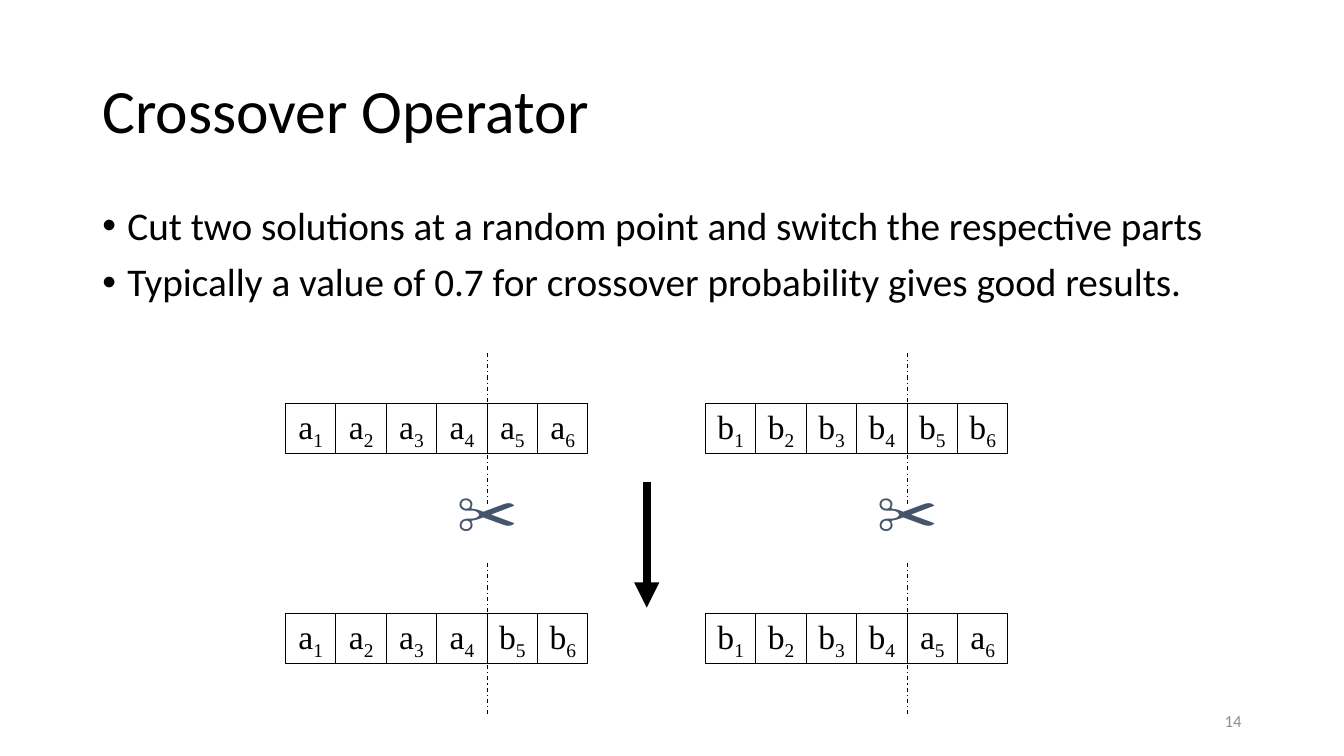
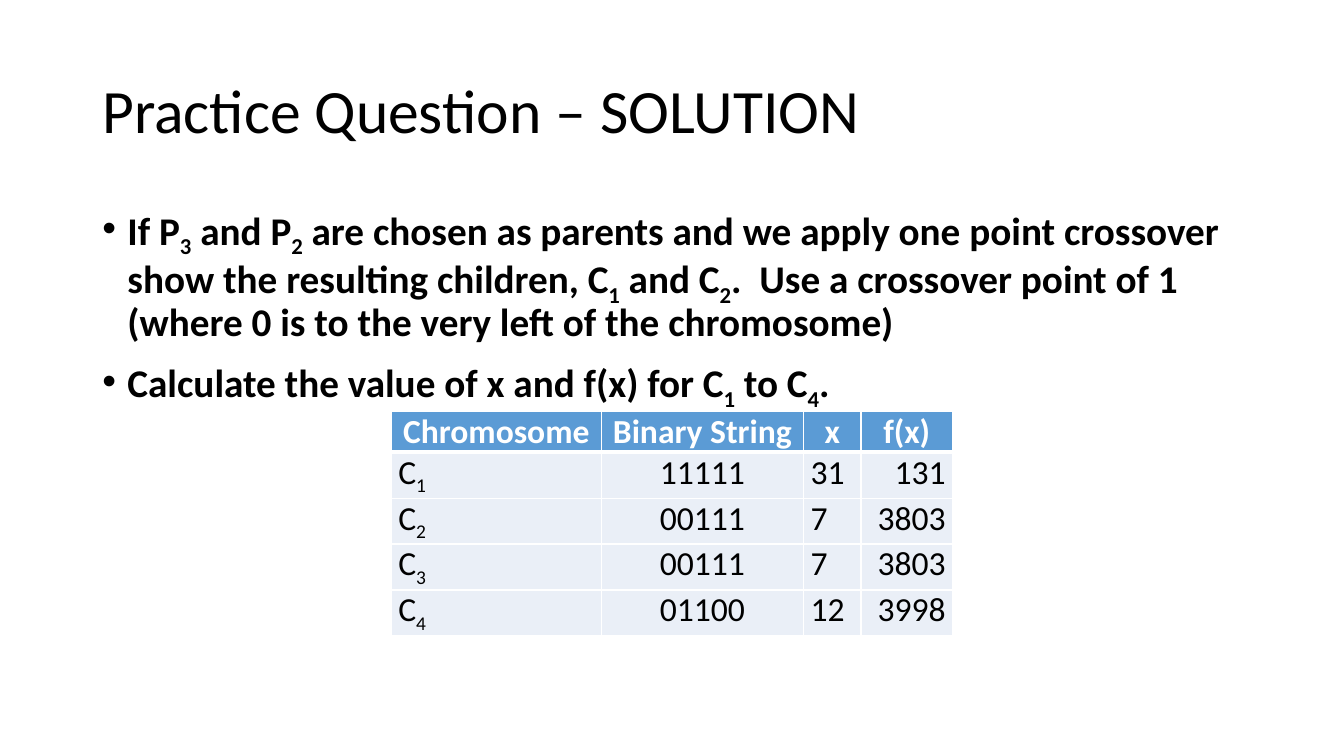
from dataclasses import dataclass

from lxml.etree import SubElement
from pptx import Presentation
from pptx.dml.color import RGBColor
from pptx.enum.dml import MSO_LINE as Dash
from pptx.enum.shapes import MSO_CONNECTOR as Connector, MSO_SHAPE as Shape
from pptx.enum.text import MSO_ANCHOR as Anchor, PP_ALIGN as Align
from pptx.oxml import parse_xml
from pptx.oxml.ns import nsdecls, qn
from pptx.util import Pt


@dataclass(frozen=True)
class Theme:
    ink: str = "000000"
    paper: str = "FFFFFF"
    muted: str = "8C8C8C"
    scissors: str = "44546A"
    header: str = "5B9BD5"
    row: str = "EAEFF7"
    sans: str = "Calibri"
    serif: str = "Times New Roman"
    title_size: int = 44
    body_size: int = 28
    grid_size: int = 24
    number_size: int = 12
    thin: float = 0.75
    thick: int = 6


THEME = Theme()

CROSSOVER = {
    "title": "Crossover Operator",
    "bullets": [
        "Cut two solutions at a random point and switch the respective parts",
        "Typically a value of 0.7 for crossover probability gives good results.",
    ],
    "number": "14",
}
SOLUTION = {
    "title": "Practice Question – SOLUTION",
    "bullets": [
        "If P_3 and P_2 are chosen as parents and we apply one point crossover "
        "show the resulting children, C_1 and C_2.  Use a crossover point of 1 "
        "(where 0 is to the very left of the chromosome)",
        "Calculate the value of x and f(x) for C_1 to C_4.",
    ],
}
CHROMOSOMES = [
    ("Chromosome", "Binary String", "x", "f(x)"),
    ("C_1", "11111", "31", "131"),
    ("C_2", "00111", "7", "3803"),
    ("C_3", "00111", "7", "3803"),
    ("C_4", "01100", "12", "3998"),
]
COLUMN_WIDTHS = (150, 144.5, 41, 65.5)
COLUMN_ALIGNS = (Align.LEFT, Align.CENTER, Align.LEFT, Align.RIGHT)
HEADER_HEIGHT, ROW_HEIGHT = 29, 32.4

GENE_COUNT, CUT, GENE = 6, 4, 36
PAIR_LEFTS = {"a": 204, "b": 504}
PARENT_TOP, CHILD_TOP = 288, 438


def color(value):
    return RGBColor.from_string(value)


def write(para, text, size, ink=THEME.ink, font=THEME.sans, bold=False):
    def add(piece, subscript=False):
        if not piece:
            return
        span = para.add_run()
        span.text = piece
        span.font.size, span.font.name, span.font.bold = Pt(size), font, bold
        span.font.color.rgb = color(ink)
        if subscript:
            span.font._element.set("baseline", "-25000")

    first, *rest = text.split("_")
    add(first)
    for part in rest:
        add(part[0], subscript=True)
        add(part[1:])


def add_box(page, left, top, width, height, anchor=Anchor.TOP, wrap=True):
    box = page.shapes.add_textbox(Pt(left), Pt(top), Pt(width), Pt(height))
    box.text_frame.word_wrap = wrap
    box.text_frame.vertical_anchor = anchor
    return box.text_frame


def add_bullets(page, bullets, bold):
    frame = add_box(page, 66, 144, 828, 342.5)
    for index, text in enumerate(bullets):
        para = frame.add_paragraph() if index else frame.paragraphs[0]
        para.line_spacing = 0.9
        if index:
            para.space_before = Pt(10)
        properties = para._p.get_or_add_pPr()
        properties.set("marL", str(Pt(18)))
        properties.set("indent", str(Pt(-18)))
        SubElement(properties, qn("a:buFont")).set("typeface", "Arial")
        SubElement(properties, qn("a:buChar")).set("char", "•")
        write(para, text, THEME.body_size, bold=bold)


def add_page(deck, content, bold=False):
    page = deck.slides.add_slide(deck.slide_layouts[6])
    title = add_box(page, 66, 28.75, 828, 104.4, Anchor.MIDDLE).paragraphs[0]
    title.line_spacing = 0.9
    write(title, content["title"], THEME.title_size)
    add_bullets(page, content["bullets"], bold)
    if "number" in content:
        number = add_box(page, 678, 500.5, 216, 28.75, Anchor.MIDDLE).paragraphs[0]
        number.alignment = Align.RIGHT
        write(number, content["number"], THEME.number_size, THEME.muted)
    return page


def add_line(page, x, top, bottom, width):
    line = page.shapes.add_connector(Connector.STRAIGHT, Pt(x), Pt(top), Pt(x), Pt(bottom))
    line.line.color.rgb = color(THEME.ink)
    line.line.width = Pt(width)
    SubElement(line._element.spPr, qn("a:effectLst"))
    return line


def add_gene(page, left, top, label):
    gene = page.shapes.add_shape(Shape.RECTANGLE, Pt(left), Pt(top), Pt(GENE), Pt(GENE))
    gene.shadow.inherit = False
    gene.fill.solid()
    gene.fill.fore_color.rgb = color(THEME.paper)
    gene.line.color.rgb = color(THEME.ink)
    gene.line.width = Pt(THEME.thin)
    gene.text_frame.word_wrap = False
    gene.text_frame.vertical_anchor = Anchor.MIDDLE
    para = gene.text_frame.paragraphs[0]
    para.alignment = Align.CENTER
    write(para, label, THEME.grid_size, font=THEME.serif)


def add_solution(page, left, top, head, tail):
    for index in range(GENE_COUNT):
        parent = head if index < CUT else tail
        add_gene(page, left + index * GENE, top, f"{parent}_{index + 1}")
    cut_line = add_line(page, left + CUT * GENE, top - GENE, top + 2 * GENE, THEME.thin)
    cut_line.line.dash_style = Dash.DASH_DOT


def add_crossover(page):
    for (head, left), other in zip(PAIR_LEFTS.items(), reversed(PAIR_LEFTS)):
        add_solution(page, left, PARENT_TOP, head, head)
        add_solution(page, left, CHILD_TOP, head, other)
        scissors = add_box(page, left + 115, 336, 65, 60, wrap=False).paragraphs[0]
        write(scissors, "✂", THEME.title_size, THEME.scissors, THEME.serif)
    arrow = add_line(page, 462, 344, 434, THEME.thick)
    SubElement(arrow.line._get_or_add_ln(), qn("a:tailEnd")).set("type", "triangle")


def set_borders(cell, bottom):
    properties = cell._tc.get_or_add_tcPr()
    for index, (side, width) in enumerate(zip("LRTB", (1, 1, 1, bottom))):
        border = parse_xml(
            f'<a:ln{side} {nsdecls("a")} w="{Pt(width)}"><a:solidFill>'
            f'<a:srgbClr val="{THEME.paper}"/></a:solidFill></a:ln{side}>'
        )
        properties.insert(index, border)


def add_chromosomes(page):
    heights = [HEADER_HEIGHT] + [ROW_HEIGHT] * (len(CHROMOSOMES) - 1)
    table = page.shapes.add_table(
        len(heights), len(COLUMN_WIDTHS), Pt(279.5), Pt(294),
        Pt(sum(COLUMN_WIDTHS)), Pt(sum(heights)),
    ).table
    table.horz_banding = False
    for column, width in zip(table.columns, COLUMN_WIDTHS):
        column.width = Pt(width)
    for row_index, values in enumerate(CHROMOSOMES):
        header = row_index == 0
        table.rows[row_index].height = Pt(heights[row_index])
        for column_index, text in enumerate(values):
            cell = table.cell(row_index, column_index)
            cell.margin_left = cell.margin_right = Pt(5)
            cell.margin_top = cell.margin_bottom = Pt(0)
            cell.fill.solid()
            cell.fill.fore_color.rgb = color(THEME.header if header else THEME.row)
            set_borders(cell, 3 if header else 1)
            para = cell.text_frame.paragraphs[0]
            para.alignment = Align.CENTER if header else COLUMN_ALIGNS[column_index]
            ink = THEME.paper if header else THEME.ink
            write(para, text, THEME.grid_size, ink, bold=header)


def main():
    deck = Presentation()
    deck.slide_width, deck.slide_height = Pt(960), Pt(540)
    add_crossover(add_page(deck, CROSSOVER))
    add_chromosomes(add_page(deck, SOLUTION, bold=True))
    deck.save("out.pptx")


if __name__ == "__main__":
    main()
